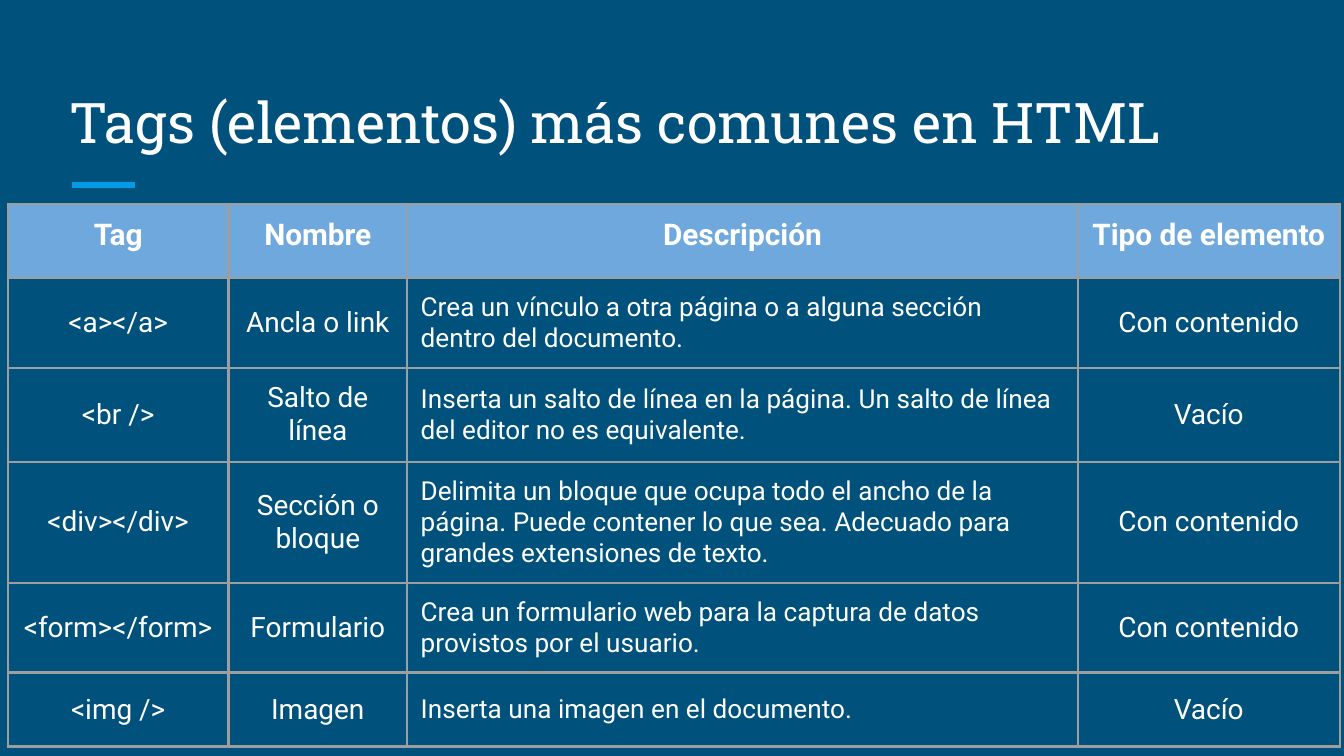
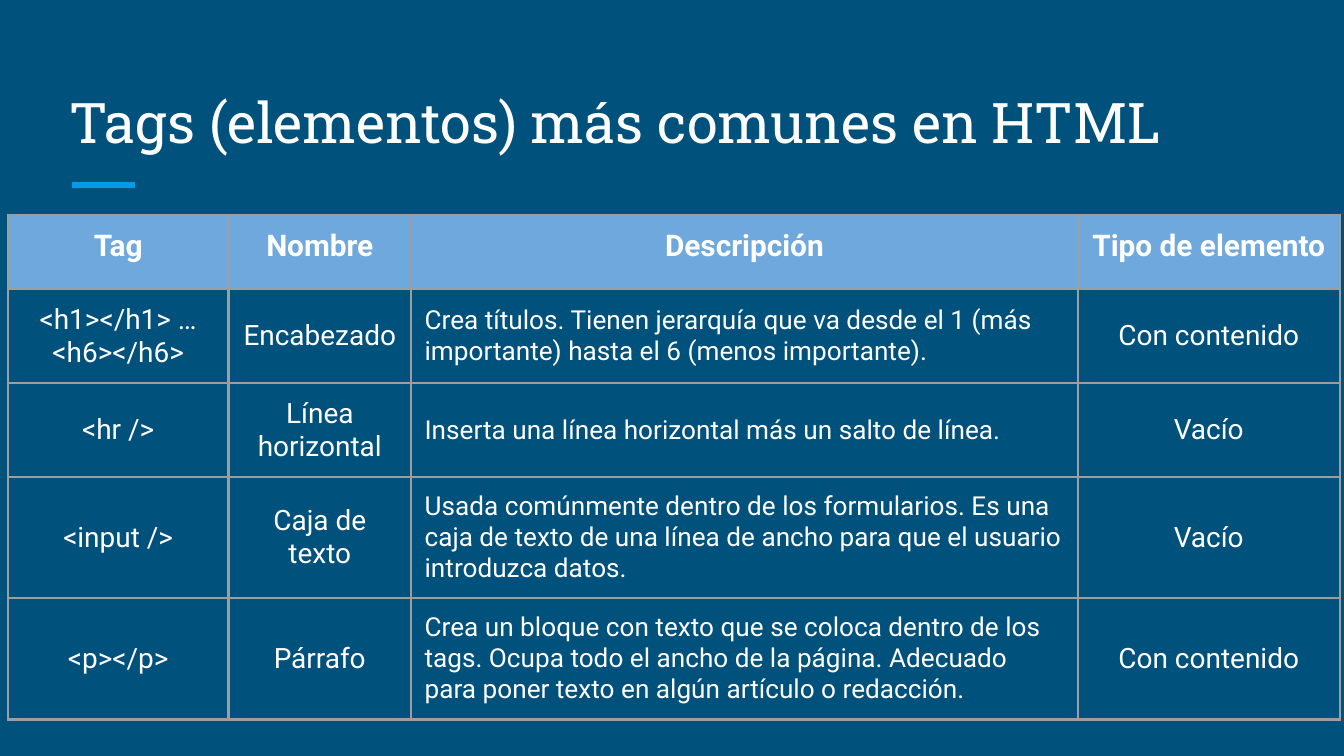
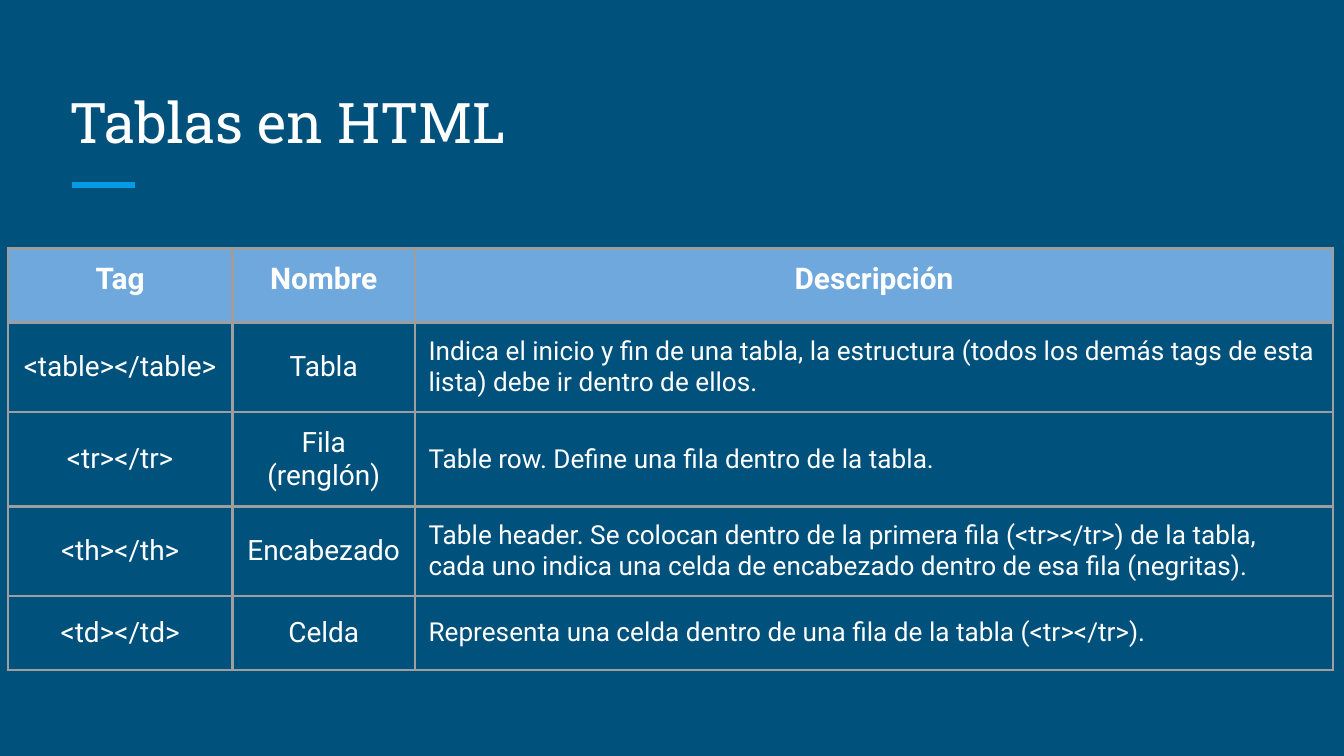
import pptx
import pptx.dml.color
import pptx.enum.shapes
import pptx.enum.text
import pptx.oxml.ns
import pptx.util
from lxml import etree

Pt = pptx.util.Pt
qn = pptx.oxml.ns.qn
Align = pptx.enum.text.PP_ALIGN
Anchor = pptx.enum.text.MSO_ANCHOR

CENTERED = {"size": 15, "align": Align.CENTER}
HEADER = {"size": 16, "align": Align.CENTER, "bold": True}
DESCRIPTION = {"size": 14, "align": Align.LEFT}
HEADINGS = ["Tag", "Nombre", "Descripción", "Tipo de elemento"]
COMMON_TITLE = "Tags (elementos) más comunes en HTML"
CONTENT, VOID = "Con contenido", "Vacío"

SLIDES = [
    (COMMON_TITLE, 109.4, [118.1, 95.8, 359.2, 140.4], [
        ["<a></a>", "Ancla o link",
         "Crea un vínculo a otra página o a alguna sección dentro del documento.", CONTENT],
        ["<br />", "Salto de línea",
         "Inserta un salto de línea en la página. Un salto de línea del editor no es equivalente.",
         VOID],
        ["<div></div>", "Sección o bloque",
         "Delimita un bloque que ocupa todo el ancho de la página. Puede contener lo que sea. "
         "Adecuado para grandes extensiones de texto.", CONTENT],
        ["<form></form>", "Formulario",
         "Crea un formulario web para la captura de datos provistos por el usuario.", CONTENT],
        ["<img />", "Imagen", "Inserta una imagen en el documento.", VOID],
    ]),
    (COMMON_TITLE, 115.2, [118.1, 97.9, 357.1, 140.4], [
        ["<h1></h1> … <h6></h6>", "Encabezado",
         "Crea títulos. Tienen jerarquía que va desde el 1 (más importante) hasta el 6 "
         "(menos importante).", CONTENT],
        ["<hr />", "Línea horizontal",
         "Inserta una línea horizontal más un salto de línea.", VOID],
        ["<input />", "Caja de texto",
         "Usada comúnmente dentro de los formularios. Es una caja de texto de una línea de "
         "ancho para que el usuario introduzca datos.", VOID],
        ["<p></p>", "Párrafo",
         "Crea un bloque con texto que se coloca dentro de los tags. Ocupa todo el ancho de la "
         "página. Adecuado para poner texto en algún artículo o redacción.", CONTENT],
    ]),
    ("Tablas en HTML", 133.2, [120.2, 97.9, 491.8], [
        ["<table></table>", "Tabla",
         "Indica el inicio y fin de una tabla, la estructura (todos los demás tags de esta "
         "lista) debe ir dentro de ellos."],
        ["<tr></tr>", "Fila (renglón)", "Table row. Define una fila dentro de la tabla."],
        ["<th></th>", "Encabezado",
         "Table header. Se colocan dentro de la primera fila (<tr></tr>) de la tabla, cada uno "
         "indica una celda de encabezado dentro de esa fila (negritas)."],
        ["<td></td>", "Celda",
         "Representa una celda dentro de una fila de la tabla (<tr></tr>)."],
    ]),
]


def rgb(value):
    return pptx.dml.color.RGBColor.from_string(value)


class Deck:
    """Holds the shared style and the current slide."""

    back, accent, header, border, ink = "00517C", "039BE5", "6FA8DC", "9E9E9E", "FFFFFF"
    body_font, title_font = "Roboto", "Roboto Slab"
    inset, row_height, table_left = 7.2, 39.6, 4.3

    def __init__(self):
        self.prs = pptx.Presentation()
        self.prs.slide_width, self.prs.slide_height = Pt(720), Pt(405)

    def slide(self, title):
        self.s = self.prs.slides.add_slide(self.prs.slide_layouts[6])
        self.s.background.fill.solid()
        self.s.background.fill.fore_color.rgb = rgb(self.back)
        self.rule(38.6, 99.2, 72.2)
        self.title(title)

    def rule(self, left, y, right):
        line = self.s.shapes.add_connector(
            pptx.enum.shapes.MSO_CONNECTOR.STRAIGHT, Pt(left), Pt(y), Pt(right), Pt(y))
        line.line.color.rgb = rgb(self.accent)
        line.line.width = Pt(3)
        etree.SubElement(line._element.spPr, qn("a:effectLst"))

    def title(self, text):
        tf = self.s.shapes.add_textbox(Pt(30.2), Pt(36), Pt(658.8), Pt(54)).text_frame
        tf.word_wrap = True
        tf.vertical_anchor = Anchor.BOTTOM
        self.margins(tf)
        self.text(tf, text, size=30, font=self.title_font)

    def margins(self, holder):
        for side in ("left", "right", "top", "bottom"):
            setattr(holder, f"margin_{side}", Pt(self.inset))

    def text(self, tf, text, size, align=Align.LEFT, bold=False, font=body_font):
        p = tf.paragraphs[0]
        p.alignment = align
        r = p.add_run()
        r.text = text
        for name, value in {"name": font, "size": Pt(size), "bold": bold}.items():
            setattr(r.font, name, value)
        r.font.color.rgb = rgb(self.ink)

    def borders(self, cell):
        tcPr = cell._tc.get_or_add_tcPr()
        for side in "LRTB":
            ln = etree.SubElement(tcPr, qn(f"a:ln{side}"), w=str(Pt(1.5)))
            fill = etree.SubElement(ln, qn("a:solidFill"))
            etree.SubElement(fill, qn("a:srgbClr"), val=self.border)

    def cell(self, cell, text, style, fill=None):
        self.margins(cell)
        self.borders(cell)
        if fill:
            cell.fill.solid()
            cell.fill.fore_color.rgb = rgb(fill)
        else:
            cell.fill.background()
        cell.vertical_anchor = Anchor.TOP if fill else Anchor.MIDDLE
        self.text(cell.text_frame, text, **style)

    def table(self, top, widths, rows):
        table = self.s.shapes.add_table(
            len(rows) + 1, len(widths), Pt(self.table_left), Pt(top),
            Pt(sum(widths)), Pt(self.row_height * (len(rows) + 1))).table
        table.horz_banding = False
        for i, width in enumerate(widths):
            table.columns[i].width = Pt(width)
            self.cell(table.cell(0, i), HEADINGS[i], HEADER, self.header)
            style = DESCRIPTION if HEADINGS[i] == "Descripción" else CENTERED
            for j, row in enumerate(rows, 1):
                self.cell(table.cell(j, i), row[i], style)


def main():
    deck = Deck()
    for title, top, widths, rows in SLIDES:
        deck.slide(title)
        deck.table(top, widths, rows)
    deck.prs.save("out.pptx")


if __name__ == "__main__":
    main()
